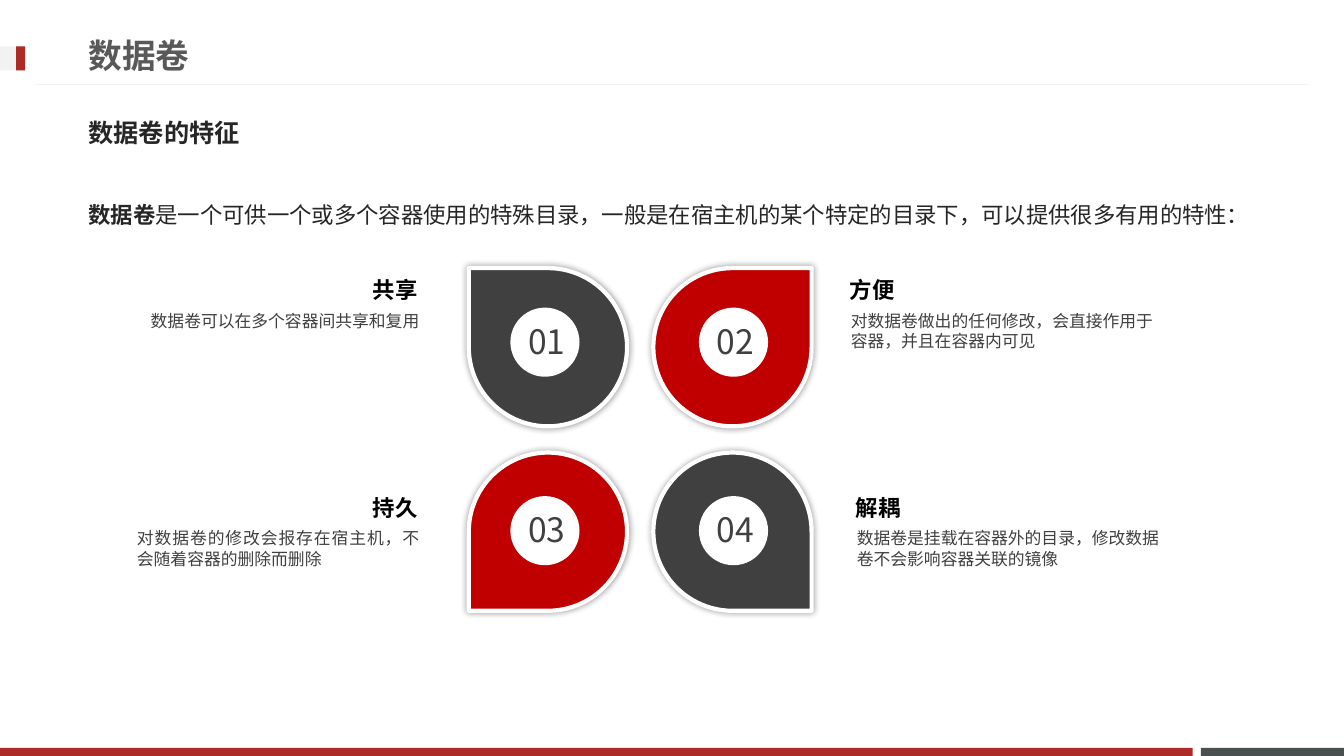
from lxml import etree
from pptx import Presentation
from pptx.dml.color import RGBColor
from pptx.enum.shapes import MSO_CONNECTOR, MSO_SHAPE
from pptx.enum.text import MSO_ANCHOR, PP_ALIGN
from pptx.oxml.ns import qn
from pptx.util import Inches, Pt

RECT, OVAL, TEAR = MSO_SHAPE.RECTANGLE, MSO_SHAPE.OVAL, MSO_SHAPE.TEAR
LEFT, RIGHT, JUSTIFY = PP_ALIGN.LEFT, PP_ALIGN.RIGHT, PP_ALIGN.JUSTIFY
CENTER, TOP, MIDDLE = PP_ALIGN.CENTER, MSO_ANCHOR.TOP, MSO_ANCHOR.MIDDLE
W, H = 13.33, 7.5
CJK = "Noto Sans CJK JP"
C = {
    "white": "FFFFFF", "ring": "FEFEFE", "pale": "F2F2F2", "black": "000000",
    "brick": "AD2B26", "slate": "49504F", "title": "595959", "body": "262626",
    "dark": "404040", "red": "C00000",
}

MARGIN = 0.78
BODY_W = 11.7
PETAL, PETAL_PITCH = 1.57, 1.83
DISC, DISC_PITCH = 0.67, 1.87
CAPTION_PITCH = 2.16

# number, heading, description, petal colour, description alignment, caption left
FEATURES = [
    ("01", "共享", "数据卷可以在多个容器间共享和复用", "dark", RIGHT, 1.26),
    ("02", "方便", "对数据卷做出的任何修改，会直接作用于容器，并且在容器内可见",
     "red", LEFT, 8.33),
    ("03", "持久", "对数据卷的修改会报存在宿主机，不会随着容器的删除而删除",
     "red", JUSTIFY, 1.26),
    ("04", "解耦", "数据卷是挂载在容器外的目录，修改数据卷不会影响容器关联的镜像",
     "dark", LEFT, 8.39),
]


def rgb(name):
    return RGBColor.from_string(C[name])


def add_shape(s, kind, x, y, w, h, fill, line=None, line_pt=0):
    sp = s.shapes.add_shape(kind, Inches(x), Inches(y), Inches(w), Inches(h))
    sp.shadow.inherit = False
    sp.fill.solid()
    sp.fill.fore_color.rgb = rgb(fill)
    if line:
        sp.line.color.rgb = rgb(line)
        sp.line.width = Pt(line_pt)
    else:
        sp.line.fill.background()
    return sp


def add_text(s, x, y, w, h, runs, size, color, font=CJK, align=LEFT,
             anchor=TOP, spacing=None, wrap=True):
    """Add a one-paragraph text box; runs is a list of (text, bold)."""
    tf = s.shapes.add_textbox(Inches(x), Inches(y), Inches(w), Inches(h)).text_frame
    tf.word_wrap = wrap
    tf.vertical_anchor = anchor
    p = tf.paragraphs[0]
    p.alignment = align
    if spacing:
        p.line_spacing = spacing
    for text, bold in runs:
        r = p.add_run()
        r.text = text
        r.font.size = Pt(size)
        r.font.bold = bold
        r.font.color.rgb = rgb(color)
        r.font.name = font
        etree.SubElement(r.font._element, qn("a:ea"), typeface=CJK)


def add_glow(sp):
    """Give the shape a soft shadow spreading evenly on all sides."""
    effects = sp._element.spPr.find(qn("a:effectLst"))
    shadow = etree.SubElement(effects, qn("a:outerShdw"), blurRad=str(Pt(5)),
                              dist="0", dir="0", algn="ctr", rotWithShape="0")
    color = etree.SubElement(shadow, qn("a:srgbClr"), val=C["black"])
    etree.SubElement(color, qn("a:alpha"), val="40000")


def frame(s):
    """Footer bars, header rule and the tab at the left edge."""
    bar = 0.08
    add_shape(s, RECT, 11.91, H - bar, W - 11.91, bar, "slate")
    add_shape(s, RECT, 0, H - bar, 11.83, bar, "brick")
    rule = s.shapes.add_connector(MSO_CONNECTOR.STRAIGHT, Inches(W - 0.35),
                                  Inches(0.84), Inches(0.35), Inches(0.84))
    rule.line.color.rgb = rgb("pale")
    rule.line.width = Pt(0.75)
    etree.SubElement(rule._element.spPr, qn("a:effectLst"))
    add_shape(s, RECT, 0, 0.46, 0.25, 0.24, "pale")
    add_shape(s, RECT, 0.16, 0.46, 0.09, 0.24, "brick")


def heading(s, x, w):
    add_text(s, x, 0.26, 9.59, 0.57, [("数据卷", True)], 24, "title", "Arial",
             anchor=MIDDLE)
    add_text(s, x, 1.03, w, 0.57, [("数据卷的特征", True)], 18, "body", anchor=MIDDLE)
    intro = "是一个可供一个或多个容器使用的特殊目录，一般是在宿主机的某个特定的目录下，可以提供很多有用的特性："
    add_text(s, x, 1.81, w, 0.57, [("数据卷", True), (intro, False)], 16, "body",
             spacing=1.5)


def petal(s, x, y, col, row, number, color):
    """One teardrop, its tip pointing away from the centre, with a numbered disc."""
    sp = add_shape(s, TEAR, x + col * PETAL_PITCH, y + row * PETAL_PITCH,
                   PETAL, PETAL, color, "white", 3)
    xfrm = sp._element.spPr.find(qn("a:xfrm"))
    if col == 0:
        xfrm.set("flipH", "1")
    if row == 1:
        xfrm.set("flipV", "1")
    add_glow(sp)
    dx, dy = x + 0.42 + col * DISC_PITCH, y + 0.4 + row * DISC_PITCH
    add_shape(s, OVAL, dx, dy, DISC, DISC, "white", "ring", 1.13)
    add_text(s, dx + 0.06, dy + 0.07, 0.59, 0.5, [(number, False)], 24, "dark",
             align=CENTER, wrap=False)


def caption(s, x, y, col, title, text, align):
    title_x, title_align = (x, LEFT) if col else (x + 1.25, RIGHT)
    text_x, text_w = (x + 0.01, 3.28) if col else (x, 3)
    add_text(s, title_x, y, 1.73, 0.37, [(title, True)], 16, "black",
             align=title_align)
    add_text(s, text_x, y + 0.34, text_w, 0.5, [(text, False)], 12, "dark",
             align=align)


def main():
    prs = Presentation()
    prs.slide_width, prs.slide_height = Inches(W), Inches(H)
    s = prs.slides.add_slide(prs.slide_layouts[6])
    frame(s)
    heading(s, MARGIN, BODY_W)
    for i, (number, title, text, color, align, x) in enumerate(FEATURES):
        row, col = divmod(i, 2)
        petal(s, 4.65, 2.66, col, row, number, color)
        caption(s, x, 2.69 + row * CAPTION_PITCH, col, title, text, align)
    prs.save("out.pptx")


if __name__ == "__main__":
    main()
